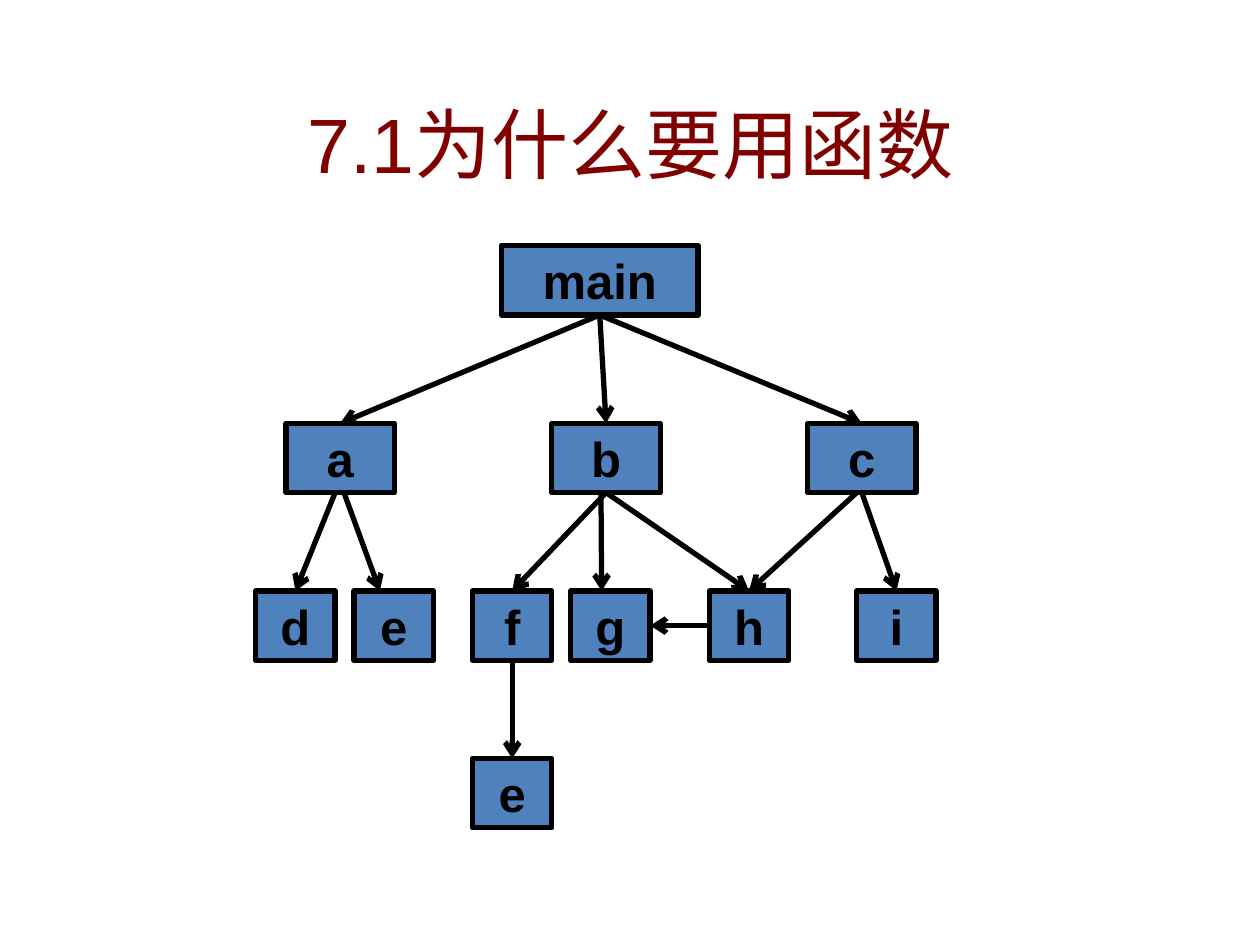
from dataclasses import dataclass

from lxml.etree import SubElement
from pptx import Presentation
from pptx.dml.color import RGBColor
from pptx.enum.shapes import MSO_CONNECTOR as Connector, MSO_SHAPE as Shape
from pptx.enum.text import MSO_ANCHOR as Anchor, PP_ALIGN as Align
from pptx.oxml.ns import qn
from pptx.util import Inches, Pt


@dataclass(frozen=True)
class Theme:
    font: str = "Arial"
    title_color: RGBColor = RGBColor(0x80, 0x00, 0x00)
    node_fill: RGBColor = RGBColor(0x4F, 0x81, 0xBD)
    ink: RGBColor = RGBColor(0x00, 0x00, 0x00)
    title_size: Pt = Pt(44)
    node_size: Pt = Pt(28)
    line_width: Pt = Pt(3)


THEME = Theme()
TOP, LEFT, BOTTOM, RIGHT = range(4)
NODE_HEIGHT = 0.55

LEVELS = [
    (0, 1.56, {"main": 1.95}),
    (1.41, 0.86, {"a": 0.24, "b": 2.35, "c": 4.38}),
    (2.74, 0.63, {"d": 0, "e": 0.78, "f": 1.72, "g": 2.5, "h": 3.6, "i": 4.77}),
    (4.07, 0.63, {"e under f": 1.72}),
]

CALLS = [
    ("main", "a", 0, 0),
    ("main", "b", 0, 0),
    ("main", "c", 0, 0),
    ("a", "d", -0.04, 0),
    ("a", "e", 0.03, -0.11),
    ("b", "f", 0, 0),
    ("b", "g", -0.04, -0.07),
    ("b", "h", 0, 0),
    ("c", "h", -0.04, 0),
    ("c", "i", 0, 0),
    ("f", "e under f", 0, 0),
]


def write_text(frame, text, size, color, bold=False):
    frame.vertical_anchor = Anchor.MIDDLE
    paragraph = frame.paragraphs[0]
    paragraph.alignment = Align.CENTER
    run = paragraph.add_run()
    run.text = text
    run.font.name = THEME.font
    run.font.size = size
    run.font.bold = bold
    run.font.color.rgb = color


def add_title(slide, left, top, width, height):
    frame = slide.shapes.add_textbox(left, top, width, height).text_frame
    frame.word_wrap = True
    write_text(frame, "7.1为什么要用函数", THEME.title_size, THEME.title_color)


def add_node(slide, text, left, top, width, height):
    shape = slide.shapes.add_shape(Shape.FLOWCHART_PROCESS, left, top, width, height)
    shape.shadow.inherit = False
    shape.fill.solid()
    shape.fill.fore_color.rgb = THEME.node_fill
    shape.line.color.rgb = THEME.ink
    shape.line.width = THEME.line_width
    frame = shape.text_frame
    frame.word_wrap = False
    frame.margin_left = frame.margin_top = frame.margin_right = frame.margin_bottom = 0
    write_text(frame, text, THEME.node_size, THEME.ink, bold=True)
    return shape


def side_point(shape, side, shift):
    x = {LEFT: shape.left, RIGHT: shape.left + shape.width}.get(side, shape.left + shape.width // 2)
    y = {TOP: shape.top, BOTTOM: shape.top + shape.height}.get(side, shape.top + shape.height // 2)
    return x + Inches(shift), y


def add_arrow(slide, source, target, sides=(BOTTOM, TOP), shifts=(0, 0)):
    start = side_point(source, sides[0], shifts[0])
    end = side_point(target, sides[1], shifts[1])
    arrow = slide.shapes.add_connector(Connector.STRAIGHT, *start, *end)
    if not shifts[0]:
        arrow.begin_connect(source, sides[0])
    if not shifts[1]:
        arrow.end_connect(target, sides[1])
    arrow.line.color.rgb = THEME.ink
    arrow.line.width = THEME.line_width
    SubElement(arrow.line._get_or_add_ln(), qn("a:tailEnd"), type="arrow")
    SubElement(arrow._element.spPr, qn("a:effectLst"))


def add_call_tree(slide, left, top):
    nodes = {}
    for level_top, width, offsets in LEVELS:
        for name, offset in offsets.items():
            nodes[name] = add_node(
                slide, name.split()[0], left + Inches(offset), top + Inches(level_top),
                Inches(width), Inches(NODE_HEIGHT))
    for caller, callee, start_shift, end_shift in CALLS:
        add_arrow(slide, nodes[caller], nodes[callee], shifts=(start_shift, end_shift))
    add_arrow(slide, nodes["h"], nodes["g"], sides=(LEFT, RIGHT))


def main():
    presentation = Presentation()
    presentation.slide_width = Inches(10)
    presentation.slide_height = Inches(7.5)
    slide = presentation.slides.add_slide(presentation.slide_layouts[6])
    add_title(slide, Inches(0.16), Inches(0.71), Inches(9.69), Inches(0.84))
    add_call_tree(slide, Inches(2.03), Inches(1.95))
    presentation.save("out.pptx")


if __name__ == "__main__":
    main()
